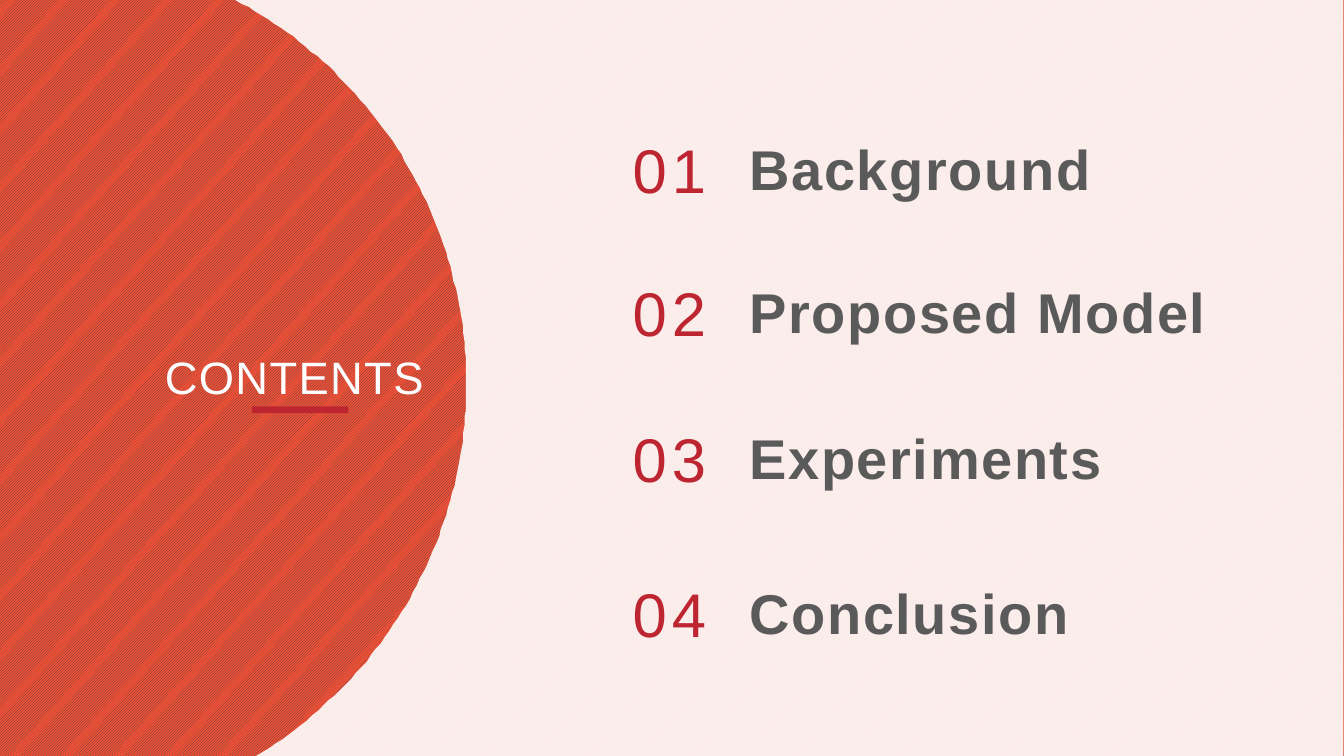
from dataclasses import dataclass
import math

from pptx import Presentation
from pptx import util as u
from pptx.dml import color
from pptx.enum import dml, shapes, text
from pptx.oxml import ns
from lxml import etree


@dataclass(frozen=True)
class Style:
    """Look of one kind of text."""
    size: float
    ink: str
    spacing: float
    bold: bool = False


@dataclass(frozen=True)
class Theme:
    """Colours and type of the slide."""
    font: str = "Arial"
    stripe: str = "3F3F3F"
    orange: str = "F45137"
    white: str = "FFFFFF"
    red: str = "BD2531"
    heading: Style = Style(32.4, "FFFFFF", 1)
    number: Style = Style(44, "BD2531", 3.6)
    topic: Style = Style(40, "5A5A5A", 1.2, True)


THEME = Theme()
SLIDE_WIDTH, SLIDE_HEIGHT = 960.48, 540
TOPICS = (("Background", 88.5), ("Proposed Model", 190.7),
          ("Experiments", 295.3), ("Conclusion", 405.8))


def rgb(value):
    """Return a colour from its hex value."""
    return color.RGBColor.from_string(value)


def place(shape, box):
    """Move a shape to a box of left, top, width and height."""
    shape.left, shape.top, shape.width, shape.height = map(u.Pt, box)


def paint(shape, fill):
    """Give a shape a plain fill without line or shadow."""
    shape.shadow.inherit = False
    shape.fill.solid()
    shape.fill.fore_color.rgb = rgb(fill)
    shape.line.fill.background()


def write(shape, words, style, inset_left, inset_top):
    """Put one styled line of text into a shape."""
    frame = shape.text_frame
    frame.word_wrap = True
    frame.auto_size = text.MSO_AUTO_SIZE.NONE
    frame.vertical_anchor = text.MSO_ANCHOR.TOP
    frame.margin_left, frame.margin_top = u.Pt(inset_left), u.Pt(inset_top)
    frame.margin_right = frame.margin_bottom = 0
    frame.text = words
    line = frame.paragraphs[0]
    line.alignment = text.PP_ALIGN.LEFT
    line.line_spacing = 1.0
    line.space_before = u.Pt(0)
    line.font.name = THEME.font
    line.font.size = u.Pt(style.size)
    line.font.bold = style.bold
    line.font.color.rgb = rgb(style.ink)
    defaults = line._p.get_or_add_pPr().get_or_add_defRPr()
    defaults.set("spc", str(round(style.spacing * 100)))


def add_backdrop(slide, box):
    """Stripe the background and veil all of it outside a large circle."""
    fill = slide.background.fill
    fill.patterned()
    fill.pattern = dml.MSO_PATTERN.LIGHT_UPWARD_DIAGONAL
    fill.fore_color.rgb = rgb(THEME.stripe)
    fill.back_color.rgb = rgb(THEME.orange)

    left, top, width, height = box
    centre_x, centre_y, radius = left + 23, top + 274.3, 310.3
    start = math.asin((top + height - centre_y) / radius)
    end = math.asin((top - centre_y) / radius)
    steps = 120
    angles = [start + (end - start) * step / steps for step in range(steps + 1)]
    arc = [(centre_x + radius * math.cos(angle), centre_y + radius * math.sin(angle))
           for angle in angles]
    right, bottom = left + width, top + height
    builder = slide.shapes.build_freeform(*arc[-1], scale=u.Pt(1))
    builder.add_line_segments([(right, top), (right, bottom)] + arc[:-1], close=True)
    veil = builder.convert_to_shape()
    paint(veil, THEME.white)
    tint = veil.fill._xPr.find(".//" + ns.qn("a:srgbClr"))
    etree.SubElement(tint, ns.qn("a:alpha"), val="90000")


def add_heading(slide, box):
    """Place the title and the short bar beneath it."""
    left, top, _, _ = box
    place(slide.shapes.title, box)
    write(slide.shapes.title, "CONTENTS", THEME.heading, 6.2, 7.6)
    bar = slide.shapes.add_shape(shapes.MSO_SHAPE.RECTANGLE, 0, 0, 0, 0)
    place(bar, (left + 68.4, top + 48.2, 69.1, 5))
    paint(bar, THEME.red)


def add_topic(slide, box, number, topic):
    """Place one numbered topic in its row."""
    left, top, width, height = box
    indent = 85.7
    number_box = slide.shapes.add_textbox(0, 0, 0, 0)
    place(number_box, (left, top - 3.6, 78.5, height))
    write(number_box, f"{number:02}", THEME.number, 7.2, 9)
    topic_box = slide.shapes.add_textbox(0, 0, 0, 0)
    place(topic_box, (left + indent, top, width - indent, height))
    write(topic_box, topic, THEME.topic, 5, 7.5)


def build_contents(deck):
    """Build the contents slide."""
    slide = deck.slides.add_slide(deck.slide_layouts.get_by_name("Title Only"))
    add_backdrop(slide, (0, 0, SLIDE_WIDTH - 0.72, SLIDE_HEIGHT))
    add_heading(slide, (111.6, 242, 208.8, 56))
    for number, (topic, top) in enumerate(TOPICS, start=1):
        add_topic(slide, (445, top, 431.3, 65.5), number, topic)


def main():
    """Create and save the deck."""
    deck = Presentation()
    deck.slide_width, deck.slide_height = u.Pt(SLIDE_WIDTH), u.Pt(SLIDE_HEIGHT)
    build_contents(deck)
    deck.save("out.pptx")


if __name__ == "__main__":
    main()
